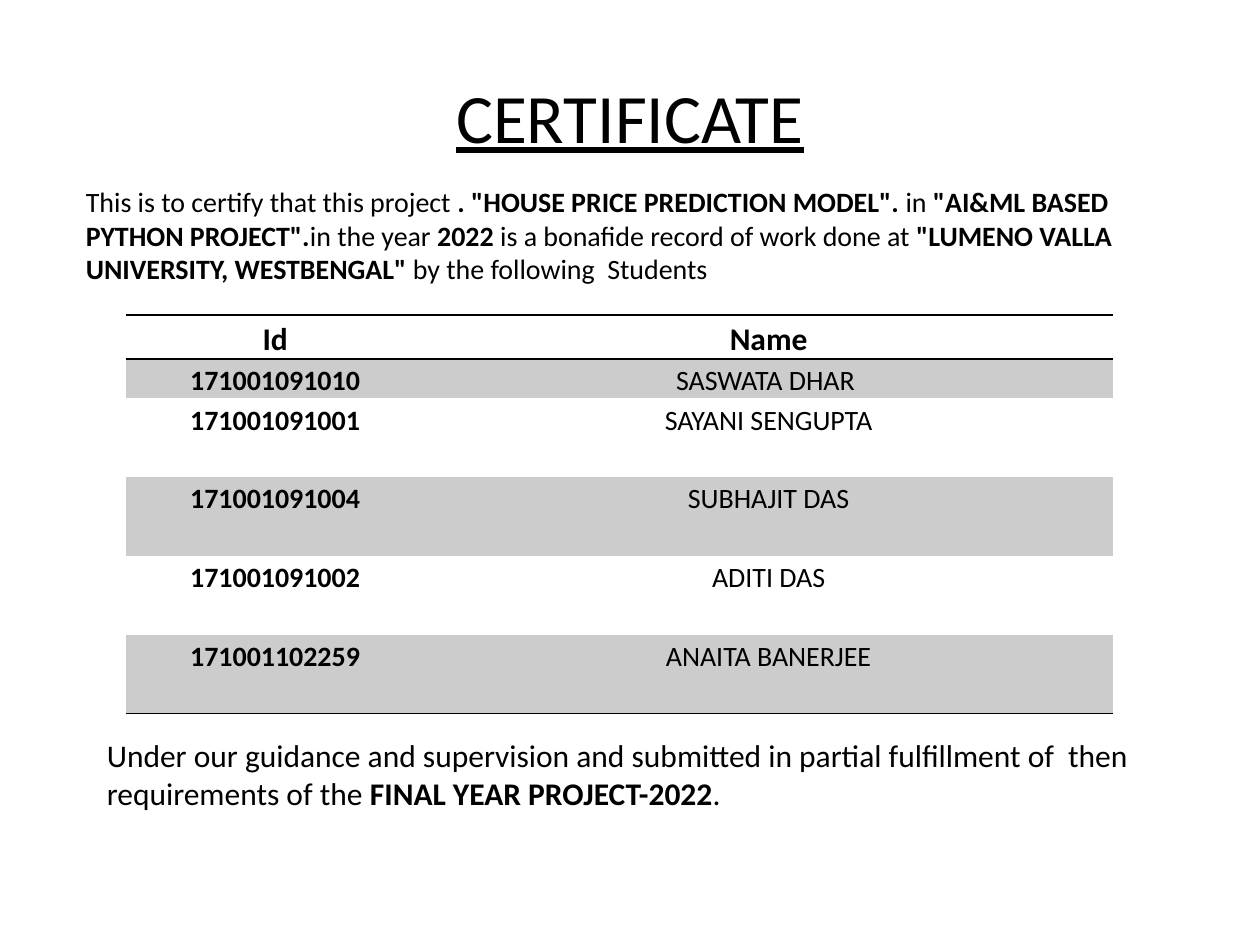
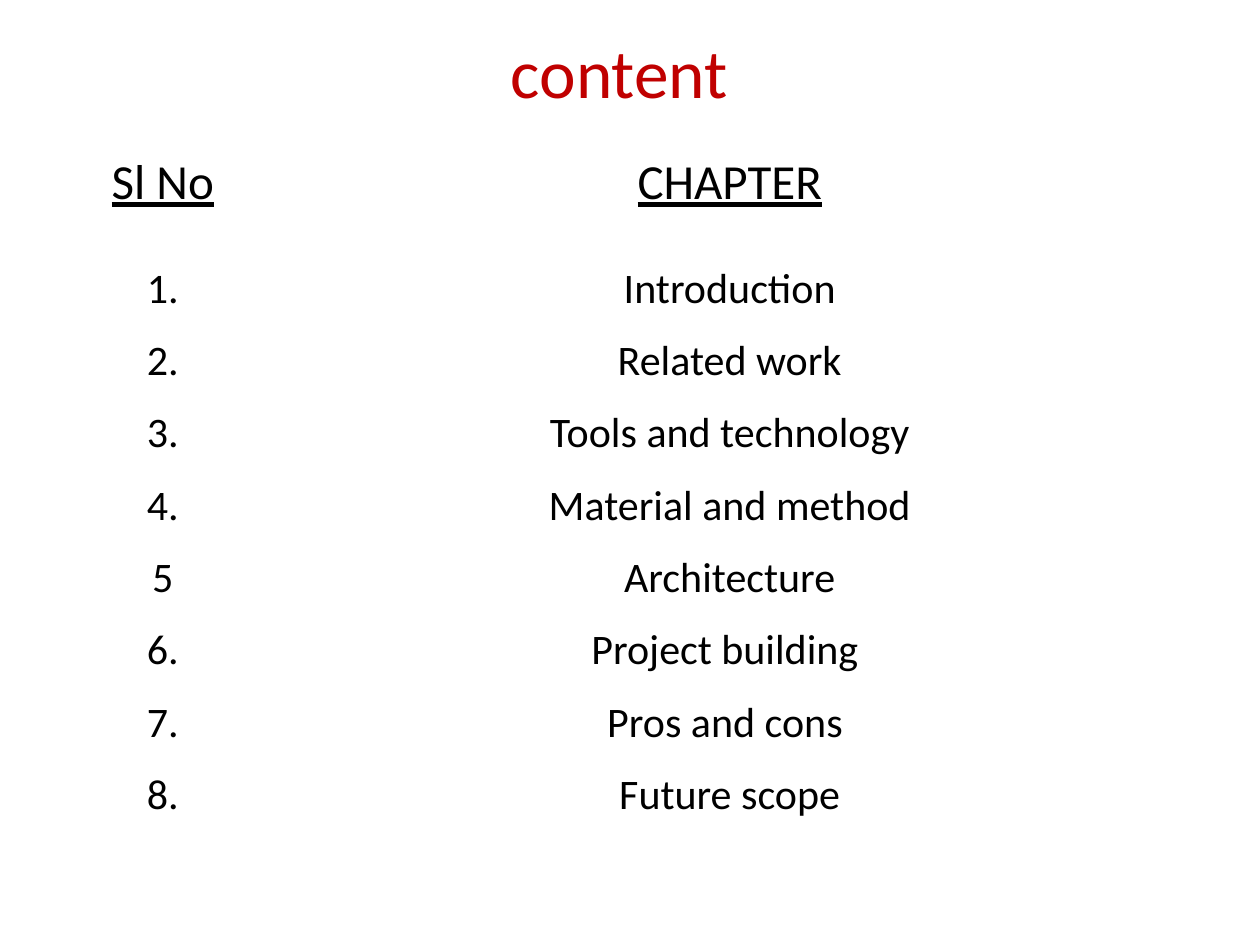
from collections import namedtuple

import pptx
import pptx.dml.color
import pptx.enum.text
import pptx.oxml
import pptx.oxml.ns
import pptx.util

Pt = pptx.util.Pt
ALIGN = pptx.enum.text.PP_ALIGN
ANCHOR = pptx.enum.text.MSO_ANCHOR
Box = namedtuple("Box", "left top width height")

FONT = "Calibri"
COLORS = {"text": "000000", "accent": "C00000", "band": "CCCCCC"}
PLAIN_TABLE_STYLE = "{2D5ABB26-0587-4C30-8999-92F81FD0307C}"
TITLE_ONLY = 5

STUDENTS = [
    ("171001091010", "SASWATA DHAR "),
    ("171001091001", "SAYANI SENGUPTA"),
    ("171001091004", "SUBHAJIT DAS"),
    ("171001091002", "ADITI DAS"),
    ("171001102259", "ANAITA BANERJEE"),
]
CHAPTERS = [
    ("1.", "Introduction"),
    ("2.", "Related work"),
    ("3.", "Tools and technology"),
    ("4.", "Material and method"),
    ("5", "Architecture"),
    ("6.", "Project building "),
    ("7.", "Pros and cons "),
    ("8.", "Future scope"),
]
CERTIFICATION = [
    "This is to certify that this project ",
    '. "HOUSE PRICE PREDICTION MODEL". ',
    "in ",
    '"AI&ML BASED PYTHON PROJECT".',
    "in the year ",
    "2022 ",
    "is a bonafide record of work done at ",
    '"LUMENO VALLA UNIVERSITY, WESTBENGAL" ',
    "by the following  Students",
]
SUBMISSION = [
    "Under our guidance and supervision and submitted in partial "
    "fulfillment of  then requirements of the ",
    "FINAL YEAR PROJECT-2022",
    ".",
]


def write(frame, paragraphs, size, color="text", bold=False, underline=False,
          align=ALIGN.CENTER, spacing=None, gap=0):
    """Fill a text frame; a paragraph given as a list alternates plain and bold spans."""
    for number, content in enumerate(paragraphs):
        para = frame.add_paragraph() if number else frame.paragraphs[0]
        para.alignment = align
        para.space_before = para.space_after = Pt(gap)
        if spacing:
            para.line_spacing = spacing
        spans = [content] if isinstance(content, str) else content
        for position, text in enumerate(spans):
            span = para.add_run()
            span.text = text
            span.font.name = FONT
            span.font.size = Pt(size)
            span.font.bold = bold or position % 2 == 1
            span.font.underline = underline
            span.font.color.rgb = pptx.dml.color.RGBColor.from_string(COLORS[color])


def add_titled_page(deck, title, box, **style):
    page = deck.slides.add_slide(deck.slide_layouts[TITLE_ONLY])
    shape = page.shapes.title
    shape.left, shape.top, shape.width, shape.height = map(Pt, box)
    shape.text_frame.auto_size = pptx.enum.text.MSO_AUTO_SIZE.NONE
    shape.text_frame.vertical_anchor = ANCHOR.MIDDLE
    write(shape.text_frame, [title], 39.6, **style)
    return page


def add_statement(page, box, spans, size):
    frame = page.shapes.add_textbox(*map(Pt, box)).text_frame
    frame.word_wrap = True
    write(frame, [spans], size, align=ALIGN.LEFT)


def add_plain_table(page, box, widths, heights):
    shape = page.shapes.add_table(len(heights), len(widths), *map(Pt, box))
    for style in shape.element.iter(pptx.oxml.ns.qn("a:tableStyleId")):
        style.text = PLAIN_TABLE_STYLE
    table = shape.table
    table.first_row = table.horz_banding = False
    for column, width in zip(table.columns, widths):
        column.width = Pt(width)
    for row, height in zip(table.rows, heights):
        row.height = Pt(height)
    for cell in table.iter_cells():
        cell.fill.background()
    return table


def add_border(cell, side):
    line = pptx.oxml.parse_xml(
        f'<a:ln{side} {pptx.oxml.ns.nsdecls("a")} w="12700"><a:solidFill>'
        f'<a:srgbClr val="{COLORS["text"]}"/></a:solidFill></a:ln{side}>')
    properties = cell._tc.get_or_add_tcPr()
    borders = [child for child in properties if child.tag.endswith(("lnT", "lnB"))]
    properties.insert(len(borders), line)


def add_student_table(page, box):
    id_width = 170.5
    heights = [25.2, 22.5] + [45] * (len(STUDENTS) - 1)
    table = add_plain_table(page, box, [id_width, box.width - id_width], heights)
    last = len(STUDENTS)
    for row, values in enumerate([("Id", "Name")] + STUDENTS):
        for column, text in enumerate(values):
            cell = table.cell(row, column)
            cell.margin_left = cell.margin_right = Pt(5)
            cell.margin_top = cell.margin_bottom = 0
            header = row == 0
            write(cell.text_frame, [text], 18 if header else 16,
                  bold=header or column == 0, spacing=1.15)
            if header:
                add_border(cell, "T")
            if row in (0, last):
                add_border(cell, "B")
            if row % 2:
                cell.fill.solid()
                cell.fill.fore_color.rgb = pptx.dml.color.RGBColor.from_string(COLORS["band"])


def add_chapter_table(page, box):
    number_width, header_height = 114, 63
    table = add_plain_table(page, box, [number_width, box.width - number_width],
                            [header_height, box.height - header_height])
    for column, (heading, entries) in enumerate(zip(("Sl No", "CHAPTER"), zip(*CHAPTERS))):
        write(table.cell(0, column).text_frame, [heading], 28, underline=True, gap=12)
        write(table.cell(1, column).text_frame, entries, 24, gap=6)


def build_certificate(deck):
    page = add_titled_page(deck, "CERTIFICATE", Box(36, 42, 648, 48), underline=True)
    add_statement(page, Box(42, 102, 648, 390), CERTIFICATION, 16)
    add_student_table(page, Box(72, 180, 564, 227.7))
    add_statement(page, Box(54, 417, 612, 72.7), SUBMISSION, 18)


def build_contents(deck):
    page = add_titled_page(deck, "content", Box(30, 18, 648, 45), color="accent")
    add_chapter_table(page, Box(36, 84, 648, 402))


def main():
    deck = pptx.Presentation()
    deck.slide_width, deck.slide_height = Pt(720), Pt(540)
    build_certificate(deck)
    build_contents(deck)
    deck.save("out.pptx")


if __name__ == "__main__":
    main()
